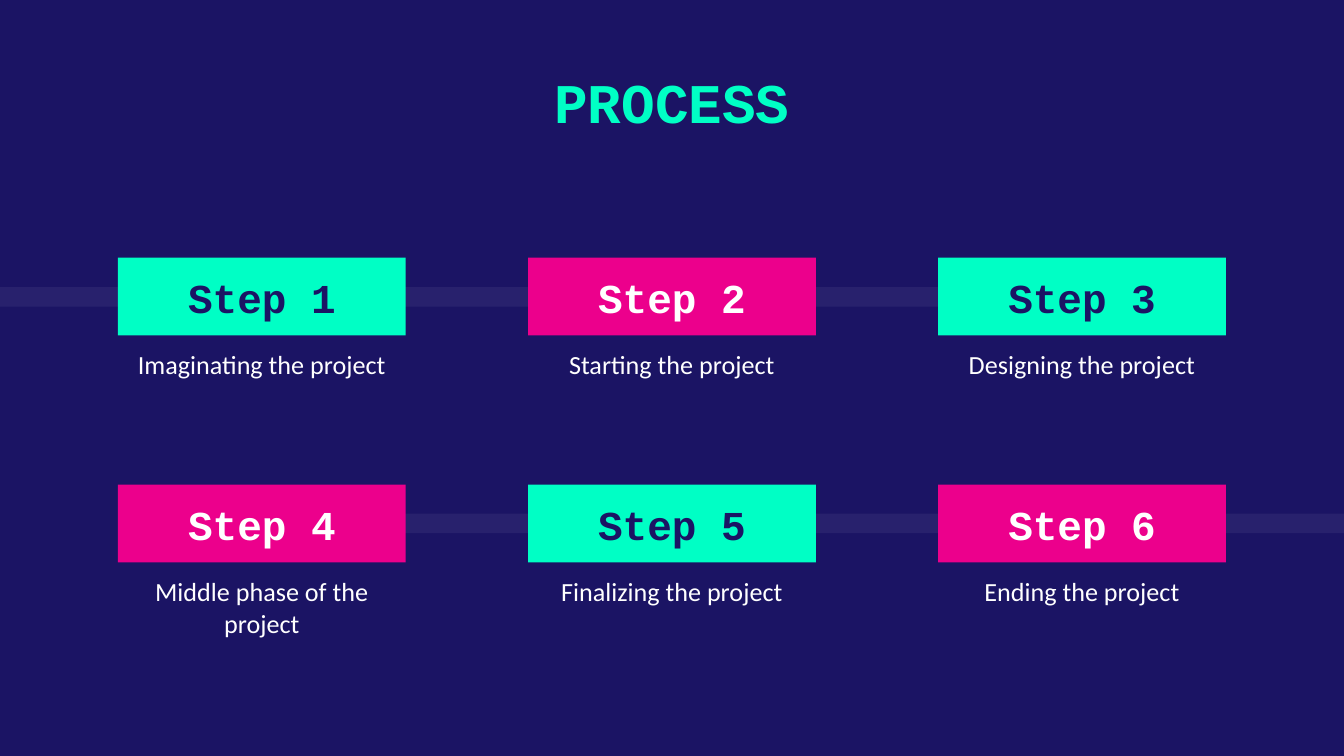
from dataclasses import dataclass

from lxml import etree
from pptx import Presentation
from pptx import util as u
from pptx.dml.color import RGBColor
from pptx.enum import shapes, text
from pptx.oxml import ns


@dataclass(frozen=True)
class Theme:
    navy: str = "1B1464"
    mint: str = "00FFC5"
    pink: str = "EC008C"
    white: str = "FFFFFF"
    heading_font: str = "Courier New"
    body_font: str = "Calibri"
    title_size: int = 30
    step_size: int = 22
    caption_size: int = 14
    band_opacity: int = 6


@dataclass(frozen=True)
class Box:
    """Position and size in centimetres."""
    left: float
    top: float
    width: float
    height: float

    def lengths(self) -> list:
        return [u.Cm(v) for v in (self.left, self.top, self.width, self.height)]


THEME = Theme()
SLIDE_WIDTH, SLIDE_HEIGHT = 25.4, 14.29
COLUMNS = 3
COLUMN_PITCH, ROW_PITCH = 7.75, 4.29
STEP_LEFT, STEP_TOP, STEP_WIDTH, STEP_HEIGHT = 2.23, 4.87, 5.44, 1.47
CAPTION_INSET, CAPTION_HEIGHT = 0.09, 1.85
BANDS = [Box(0, 5.43, 21.64, 0.37), Box(2.59, 9.71, 22.81, 0.37)]
CAPTIONS = [
    "Imaginating the project", "Starting the project", "Designing the project",
    "Middle phase of the project", "Finalizing the project", "Ending the project",
]

HEADING = {"name": THEME.heading_font, "bold": True}
TITLE_FORMAT = {**HEADING, "size": u.Pt(THEME.title_size)}
STEP_FORMAT = {**HEADING, "size": u.Pt(THEME.step_size)}
CAPTION_FORMAT = {"name": THEME.body_font, "size": u.Pt(THEME.caption_size)}


def write(shape, words: str, color: str, font_format: dict, anchor) -> None:
    frame = shape.text_frame
    margins = dict.fromkeys(
        ("margin_left", "margin_top", "margin_right", "margin_bottom"), u.Cm(0.25))
    frame_format = {"word_wrap": True, "vertical_anchor": anchor, **margins}
    for name, value in frame_format.items():
        setattr(frame, name, value)
    paragraph = frame.paragraphs[0]
    paragraph.alignment = text.PP_ALIGN.CENTER
    run = paragraph.add_run()
    run.text = words
    for name, value in font_format.items():
        setattr(run.font, name, value)
    run.font.color.rgb = RGBColor.from_string(color)


def add_rectangle(slide, box: Box, color: str):
    shape = slide.shapes.add_shape(shapes.MSO_SHAPE.RECTANGLE, *box.lengths())
    shape.shadow.inherit = False
    shape.fill.solid()
    shape.fill.fore_color.rgb = RGBColor.from_string(color)
    shape.line.fill.background()
    return shape


def add_band(slide, box: Box) -> None:
    band = add_rectangle(slide, box, THEME.white)
    color = band.fill._xPr.find(".//" + ns.qn("a:srgbClr"))
    etree.SubElement(color, ns.qn("a:alpha"), val=str(THEME.band_opacity * 1000))


def add_text(slide, box: Box, words: str, color: str, font_format: dict, anchor) -> None:
    shape = slide.shapes.add_textbox(*box.lengths())
    write(shape, words, color, font_format, anchor)


def add_step(slide, index: int, caption: str) -> None:
    row, column = divmod(index, COLUMNS)
    left = STEP_LEFT + column * COLUMN_PITCH
    top = STEP_TOP + row * ROW_PITCH
    # Colours alternate from step to step
    fill, ink = ((THEME.mint, THEME.navy), (THEME.pink, THEME.white))[index % 2]
    label = add_rectangle(slide, Box(left, top, STEP_WIDTH, STEP_HEIGHT), fill)
    write(label, f"Step {index + 1}", ink, STEP_FORMAT, text.MSO_ANCHOR.BOTTOM)
    caption_box = Box(left + CAPTION_INSET, top + STEP_HEIGHT,
                      STEP_WIDTH - 2 * CAPTION_INSET, CAPTION_HEIGHT)
    add_text(slide, caption_box, caption, THEME.white, CAPTION_FORMAT,
             text.MSO_ANCHOR.TOP)


# Slide and background
presentation = Presentation()
presentation.slide_width = u.Cm(SLIDE_WIDTH)
presentation.slide_height = u.Cm(SLIDE_HEIGHT)
slide = presentation.slides.add_slide(presentation.slide_layouts[6])
slide.background.fill.solid()
slide.background.fill.fore_color.rgb = RGBColor.from_string(THEME.navy)

# Bands behind the steps
for band_box in BANDS:
    add_band(slide, band_box)

# Title
add_text(slide, Box(3.56, 0.94, 18.28, 1.85), "PROCESS", THEME.mint, TITLE_FORMAT,
         text.MSO_ANCHOR.BOTTOM)

# Steps with captions
for step_index, step_caption in enumerate(CAPTIONS):
    add_step(slide, step_index, step_caption)

presentation.save("out.pptx")
